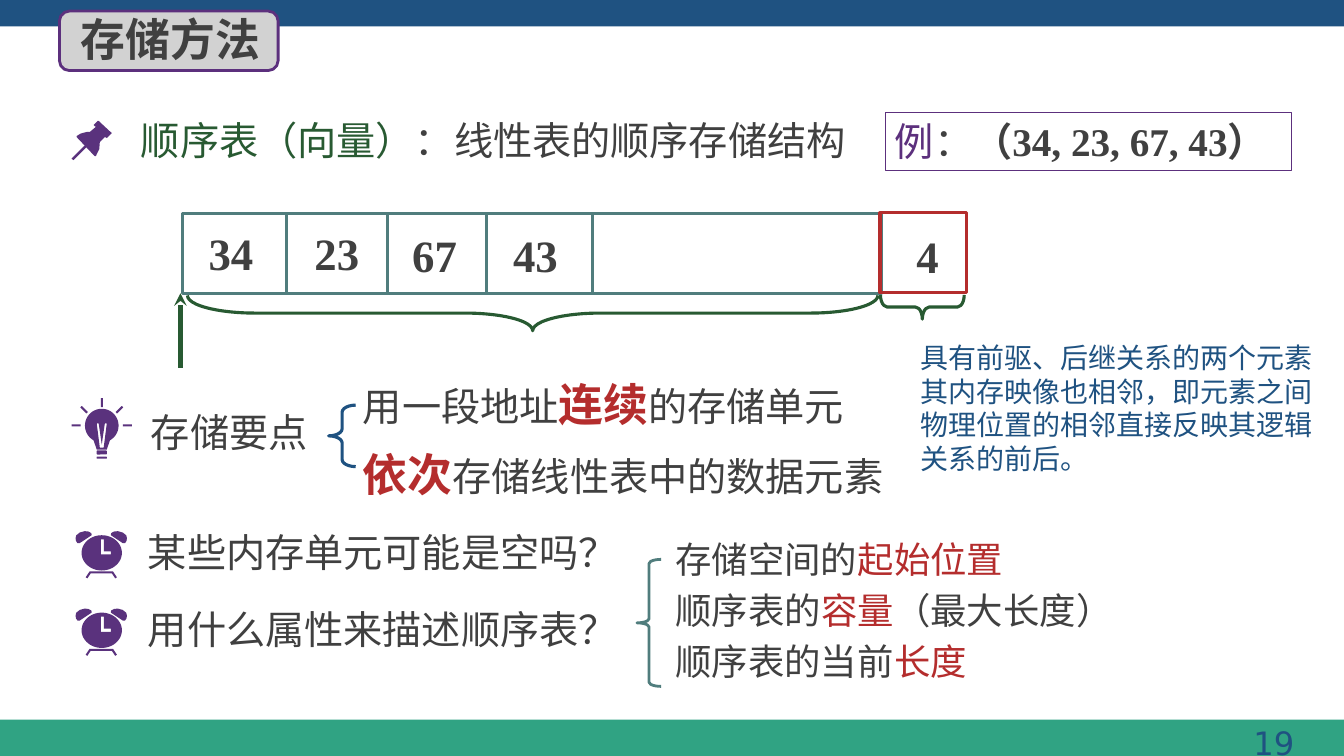
"""Build the slide on storing a sequential list."""
import math

from lxml import etree
from pptx import Presentation
from pptx.dml.color import RGBColor
from pptx.enum.shapes import MSO_CONNECTOR, MSO_SHAPE
from pptx.enum.text import MSO_ANCHOR, MSO_AUTO_SIZE, PP_ALIGN
from pptx.oxml.ns import qn
from pptx.util import Pt

RECT, ROUND = MSO_SHAPE.RECTANGLE, MSO_SHAPE.ROUNDED_RECTANGLE
BRACE, LINE = MSO_SHAPE.LEFT_BRACE, MSO_CONNECTOR.STRAIGHT
LEFT, CENTER, RIGHT = PP_ALIGN.LEFT, PP_ALIGN.CENTER, PP_ALIGN.RIGHT
CJK, SERIF, SANS = "Noto Sans CJK SC", "Times New Roman", "DejaVu Sans"
COLORS = {
    "text": "404040", "red": "B42D2D", "green": "285A32", "blue": "1F5281",
    "purple": "5C307D", "icon": "5A327D", "teal": "507D7D", "band": "30A383",
    "badge": "D2D2D2",
}
INSETS = (7.2, 3.6, 7.2, 3.6)

CLOCK_W = 36.7
CLOCK_EAR = [(6.5, 0), (3, 1), (0.5, 3), (0, 5), (0.3, 7), (1.4, 8.6),
             (2.9, 8.6), (11.5, 2.9), (11.3, 1.4), (9.2, 0.3)]
CLOCK_HANDS = [(18, 5.8), (20.2, 5.8), (20.2, 14.4), (25.2, 14.4),
               (25.2, 16.6), (18, 16.6)]
CLOCK_LEGS = [(7.2, 33), (10, 28.8), (26.7, 28.8), (29.5, 33), (28.3, 33.8),
              (25.9, 30.2), (10.8, 30.2), (8.4, 33.8)]
PIN_HEAD = [(28, 8), (19.4, 0), (18.7, 0), (15.8, 2.9), (17.3, 4.3), (13, 7.9),
            (10.8, 7.9), (6.5, 9), (3.6, 10.8), (3.6, 11.5), (16.6, 25.2),
            (17.3, 25.2), (19.8, 20.2), (20.2, 15.1), (23.8, 11.5),
            (25.2, 12.2), (28.8, 8.6)]
PIN_NEEDLE = [(0, 27), (10, 17), (11.5, 18), (1.4, 28)]
BULB_NECK = [(27.4, 30.2), (25.2, 36.7), (18, 36.7), (15.8, 30.2)]
BULB_FILAMENT = [(18, 18), (19.4, 18), (21.6, 33.1), (23.8, 18), (25.2, 18),
                 (23, 35.3), (20.2, 35.3)]
BULB_BARS = [(18, 37.4, 7.2, 2.9, 0), (18, 41.8, 7.2, 1.4, 0),
             (20.9, 0, 1.5, 6.5, 0), (0, 18.7, 6.5, 1.5, 0),
             (36.7, 18.7, 6.5, 1.5, 0), (5.9, 7.5, 6.2, 1.5, 45),
             (31.1, 7.5, 6.2, 1.5, -45)]


def rgb(name):
    """Return the named colour."""
    return RGBColor.from_string(COLORS[name])


def run(text, size=28, color="text", bold=False, font=CJK):
    """Describe one run of text."""
    return text, size, color, bold, font


def paint(sp, fill=None, line=None, width=1):
    """Set fill and outline, without a shadow."""
    sp.shadow.inherit = False
    if fill:
        sp.fill.solid()
        sp.fill.fore_color.rgb = rgb(fill)
    else:
        sp.fill.background()
    if line:
        sp.line.color.rgb = rgb(line)
        sp.line.width = Pt(width)
    else:
        sp.line.fill.background()


def write(sp, paragraphs, align=LEFT, insets=INSETS, spacing=None, before=0):
    """Fill a shape with paragraphs of runs."""
    tf = sp.text_frame
    tf.word_wrap = True
    tf.auto_size = MSO_AUTO_SIZE.NONE
    tf.vertical_anchor = MSO_ANCHOR.TOP
    tf.margin_left, tf.margin_top, tf.margin_right, tf.margin_bottom = map(Pt, insets)
    for i, runs in enumerate(paragraphs):
        p = tf.add_paragraph() if i else tf.paragraphs[0]
        p.alignment = align
        p.space_before = Pt(before if i else 0)
        if spacing:
            p.line_spacing = Pt(spacing)
        for text, size, color, bold, font in runs:
            r = p.add_run()
            r.text = text
            r.font.size, r.font.bold, r.font.name = Pt(size), bold, font
            r.font.color.rgb = rgb(color)
            ea = etree.SubElement(r.font._element, qn("a:ea"))
            ea.set("typeface", CJK if font == SERIF else font)


def add_text(s, box, *runs, **options):
    """Add a text box of one paragraph."""
    write(s.shapes.add_textbox(*map(Pt, box)), [runs], **options)


def fill_placeholder(sp, box, paragraphs, **options):
    """Move a placeholder, fill it and drop its bullets."""
    sp.left, sp.top, sp.width, sp.height = map(Pt, box)
    write(sp, paragraphs, **options)
    for p in sp.text_frame.paragraphs:
        pPr = p._p.get_or_add_pPr()
        pPr.set("marL", "0")
        pPr.set("indent", "0")
        etree.SubElement(pPr, qn("a:buNone"))


def add_box(s, kind, box, fill=None, line=None, width=1, rotation=0):
    """Add a preset shape."""
    sp = s.shapes.add_shape(kind, *map(Pt, box))
    sp.rotation = rotation
    paint(sp, fill, line, width)
    return sp


def add_brace(s, box, curl, color, width=2.25, rotation=0):
    """Add a brace with the given curl."""
    sp = add_box(s, BRACE, box, None, color, width, rotation)
    sp.adjustments[0] = curl


def add_line(s, x1, y1, x2, y2, color, width, arrow=False):
    """Add a straight line, with an arrowhead if asked."""
    cn = s.shapes.add_connector(LINE, Pt(x1), Pt(y1), Pt(x2), Pt(y2))
    cn.line.color.rgb = rgb(color)
    cn.line.width = Pt(width)
    if arrow:
        etree.SubElement(cn.line._get_or_add_ln(), qn("a:tailEnd"), type="stealth")
    etree.SubElement(cn._element.spPr, qn("a:effectLst"))


def add_outline(s, x, y, *contours):
    """Add one filled icon part; later contours are holes."""
    paths = [[(Pt(x + dx), Pt(y + dy)) for dx, dy in c] for c in contours]
    fb = s.shapes.build_freeform(*paths[0][0])
    for i, points in enumerate(paths):
        if i:
            fb.move_to(*points[0])
        fb.add_line_segments(points[1:], close=True)
    paint(fb.convert_to_shape(), "icon")


def arc(cx, cy, rx, ry, start, end):
    """Return points along an elliptical arc in degrees."""
    angles = [math.radians(a) for a in range(start, end + 1, 6)]
    return [(cx + rx * math.cos(a), cy + ry * math.sin(a)) for a in angles]


def add_clock(s, x, y):
    """Draw the alarm clock icon."""
    add_outline(s, x, y, CLOCK_LEGS)
    add_outline(s, x, y, CLOCK_EAR)
    add_outline(s, x, y, [(CLOCK_W - dx, dy) for dx, dy in CLOCK_EAR])
    add_outline(s, x, y, arc(18.7, 15.5, 14.4, 12.6, 0, 354), CLOCK_HANDS)


def add_bulb(s, x, y):
    """Draw the light bulb icon."""
    add_outline(s, x, y, arc(21.6, 19.6, 12, 12, 120, 420) + BULB_NECK, BULB_FILAMENT)
    for dx, dy, w, h, angle in BULB_BARS:
        add_box(s, ROUND, (x + dx, y + dy, w, h), "icon", rotation=angle)


def add_storage_row(s):
    """Draw the memory cells, their braces and the start arrow."""
    top, bottom = 152.6, 209.5
    add_box(s, RECT, (130.3, top, 499, bottom - top), None, "teal", 2.25)
    for x in (204.5, 276.5, 347.8, 423.4):
        add_line(s, x, top, x, bottom, "teal", 2.25)
    for value, x, y in (("34", 149, 157.7), ("23", 224.6, 157.7),
                        ("67", 294.5, 159.1), ("43", 366.5, 159.1)):
        add_text(s, (x, y, 39, 45.4), run(value, 32, bold=True, font=SERIF),
                 insets=(0, 3.6, 0, 3.6))
    length = add_box(s, RECT, (628.6, 152, 61.9, 57), None, "red", 2.25)
    write(length, [[run("4", 32, bold=True, font=SERIF)]], CENTER, (13, 11.5, 7, 8.6))
    add_line(s, 128.9, 262.8, 128.9, bottom, "green", 3, arrow=True)
    add_brace(s, (367.9, -23, 25.2, 493.2), 1.91, "green", rotation=270)
    add_brace(s, (650.2, 189.4, 17.3, 59.8), 0.28, "green", rotation=270)


def main():
    """Build and save the slide."""
    prs = Presentation()
    prs.slide_width, prs.slide_height = Pt(960), Pt(540)
    s = prs.slides.add_slide(prs.slide_layouts[3])
    title, points, attributes = s.placeholders

    add_box(s, RECT, (0, 514, 960, 26), "band")
    add_box(s, RECT, (0, 0, 960, 18.9), "blue")
    add_text(s, (722, 512, 212, 37.4), run("19", 23, "blue", font=SANS),
             align=RIGHT, insets=(9.4, 4.3, 9.4, 4.3))
    badge = add_box(s, ROUND, (42.5, 7.9, 156.2, 42.5), "badge", "purple", 2)
    fill_placeholder(title, (50.4, 5, 152.6, 46), [[run("存储方法", 32, bold=True)]])
    badge._element.addnext(title._element)

    add_outline(s, 51.1, 86.4, PIN_HEAD)
    add_outline(s, 51.1, 86.4, PIN_NEEDLE)
    add_text(s, (93.6, 79.2, 526, 41), run("顺序表（向量）", color="green"),
             run("：线性表的顺序存储结构"))
    example = add_box(s, RECT, (632.2, 80.6, 290.2, 41), None, "purple", 0.75)
    write(example, [[run("例", color="purple"), run("："),
                     run("（34, 23, 67, 43）", bold=True, font=SERIF)]],
          insets=(7.2, 3.6, 0, 3.6))
    add_storage_row(s)

    add_bulb(s, 51.1, 284.4)
    add_text(s, (100.8, 288, 130, 41), run("存储要点"))
    add_brace(s, (234.7, 289.4, 19.4, 43.9), 0.26, "blue")
    fill_placeholder(points, (252, 254.2, 461.5, 108), [
        [run("用一段地址"), run("连续", 32, "red", True), run("的存储单元")],
        [run("依次", 32, "red", True), run("存储线性表中的数据元素")],
    ], spacing=50)
    add_text(s, (650.2, 239.8, 309.6, 104.4),
             run("具有前驱、后继关系的两个元素其内存映像也相邻，即元素之间"
                 "物理位置的相邻直接反映其逻辑关系的前后。", 20, "blue", font=SANS))

    for i, question in enumerate(("某些内存单元可能是空吗？", "用什么属性来描述顺序表？")):
        add_clock(s, 54, 379.4 + 55.3 * i)
        add_text(s, (98.6, 373.7 + 55.4 * i, 369, 41), run(question))
    add_brace(s, (455, 399.6, 17.3, 90.7), 0.17, "teal", 2)
    fill_placeholder(attributes, (475.2, 380.2, 330, 130), [
        [run("存储空间的", 26), run("起始位置", 26, "red")],
        [run("顺序表的", 26), run("容量", 26, "red"), run("（最大长度）", 26)],
        [run("顺序表的当前", 26), run("长度", 26, "red")],
    ], before=5)
    prs.save("out.pptx")


if __name__ == "__main__":
    main()
